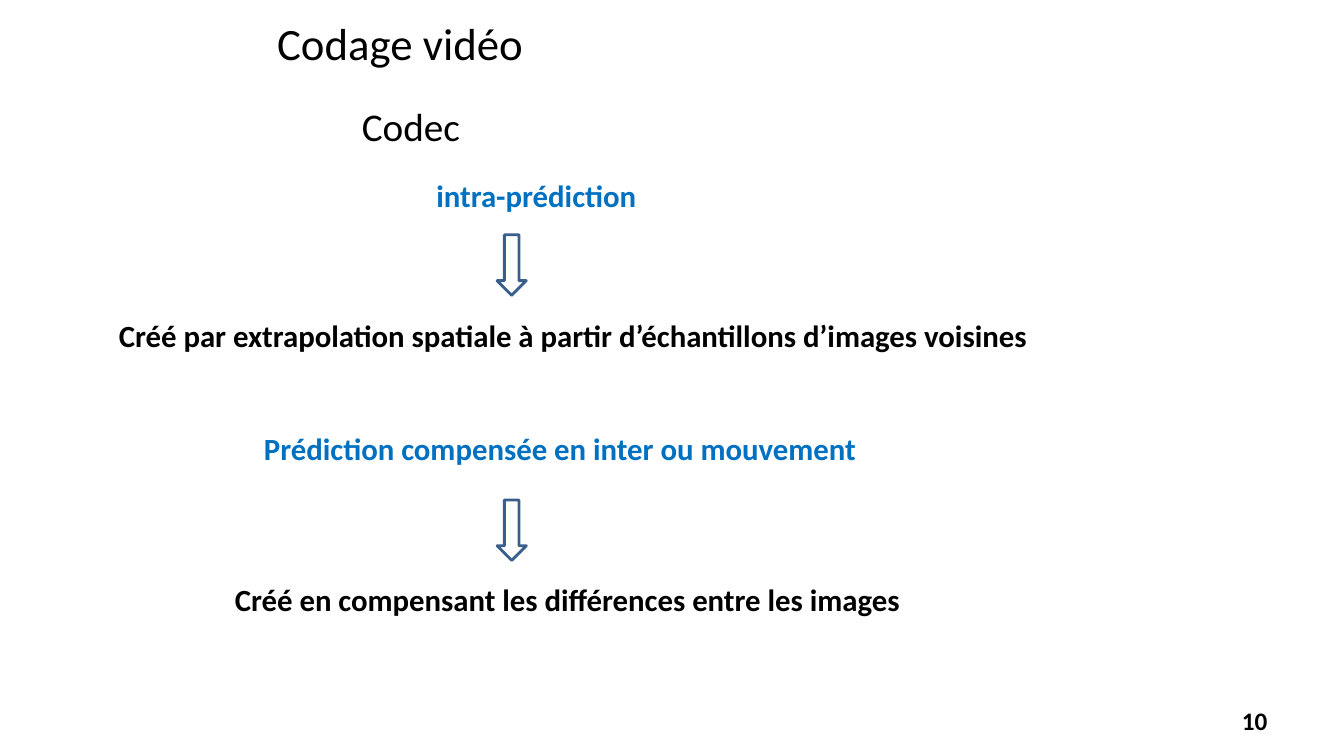
from pptx import Presentation
from pptx.dml.color import RGBColor
from pptx.enum.shapes import MSO_SHAPE
from pptx.enum.text import MSO_ANCHOR, PP_ALIGN
from pptx.util import Inches, Pt

BLACK, BLUE, EDGE = "000000", "0070C0", "3A5F8C"


def color(hex):
    """Turn a hex string into a colour."""
    return RGBColor.from_string(hex)


def assign(obj, vals):
    """Set each attribute of an object from a dict."""
    for key, val in vals.items():
        setattr(obj, key, val)


def label(slide, text, box, size=22, ink=BLACK, bold=True,
          align=PP_ALIGN.LEFT, anchor=MSO_ANCHOR.TOP):
    """Add one line of text in a box."""
    frame = slide.shapes.add_textbox(*map(Inches, box)).text_frame
    assign(frame, {"word_wrap": True, "vertical_anchor": anchor})
    para = frame.paragraphs[0]
    para.alignment = align
    run = para.add_run()
    run.text = text
    assign(run.font, {"name": "Calibri", "size": Pt(size), "bold": bold})
    run.font.color.rgb = color(ink)


def arrow(slide, top):
    """Add a hollow down arrow at the given height."""
    box = map(Inches, (4.93, top, 0.29, 0.6))
    shape = slide.shapes.add_shape(MSO_SHAPE.DOWN_ARROW, *box)
    shape.shadow.inherit = False
    shape.fill.background()
    shape.line.color.rgb = color(EDGE)
    shape.line.width = Pt(2)


def main():
    """Build the slide and save it."""
    deck = Presentation()
    assign(deck, {"slide_width": Inches(13.33), "slide_height": Inches(7.5)})
    slide = deck.slides.add_slide(deck.slide_layouts[6])

    label(slide, "Codage vidéo", (2.65, 0.11, 3.45, 0.64), 32, bold=False)
    label(slide, "Codec", (3.49, 0.97, 2.34, 0.57), 28, bold=False)

    label(slide, "intra-prédiction", (4.23, 1.7, 2.62, 0.47), ink=BLUE)
    arrow(slide, 2.33)
    label(slide, "Créé par extrapolation spatiale à partir d’échantillons "
          "d’images voisines", (1.08, 3.09, 9.8, 0.47))

    label(slide, "Prédiction compensée en inter ou mouvement",
          (2.52, 4.21, 6.43, 0.47), ink=BLUE)
    arrow(slide, 4.96)
    label(slide, "Créé en compensant les différences entre les images",
          (2.23, 5.71, 7.19, 0.47))

    label(slide, "10", (9.56, 6.95, 3.11, 0.4), 18,
          align=PP_ALIGN.RIGHT, anchor=MSO_ANCHOR.MIDDLE)
    deck.save("out.pptx")


if __name__ == "__main__":
    main()
